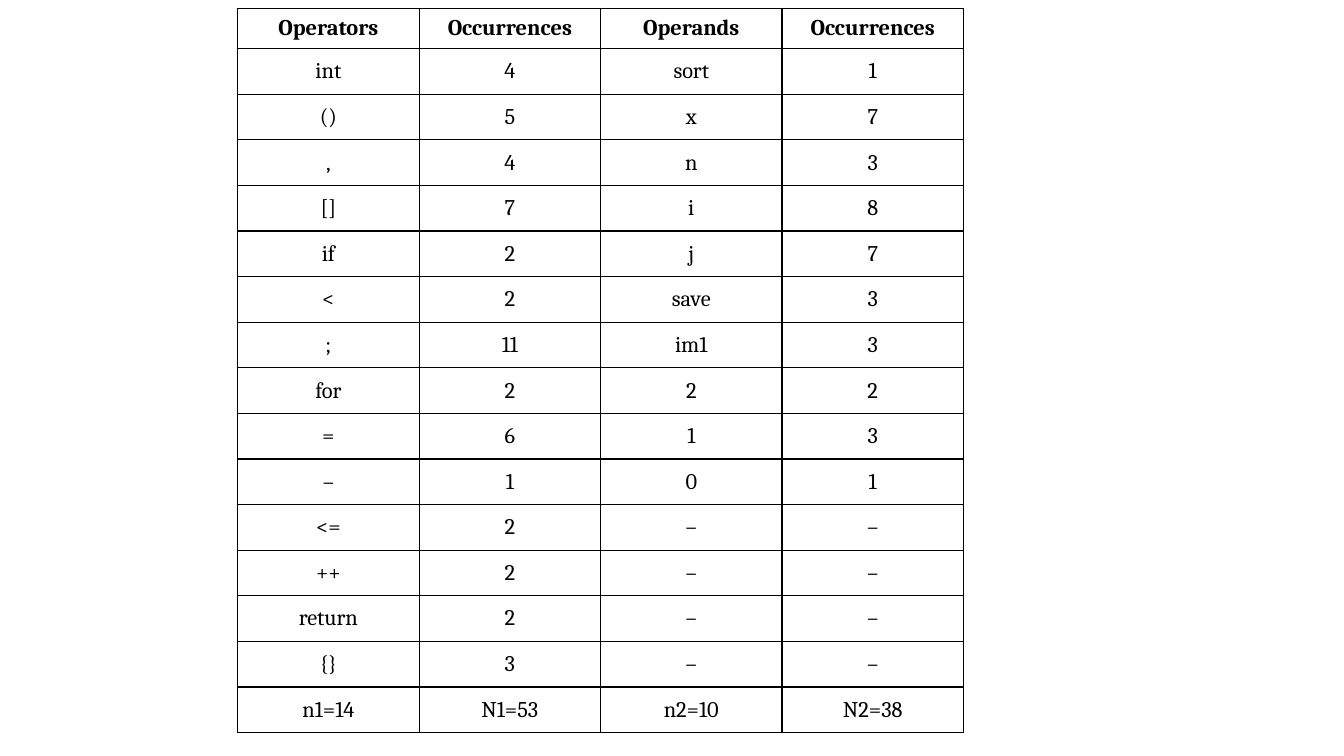
from dataclasses import dataclass

import pptx
import pptx.dml.color
import pptx.enum.text
import pptx.oxml
import pptx.oxml.ns
import pptx.util
from pptx.util import Pt


@dataclass(frozen=True)
class Theme:
    """Colours, font and type size of the slide."""
    ink: str = "000000"
    font: str = "Cambria"
    size: float = 16
    border: float = 1


THEME = Theme()
HEADINGS = ("Operators", "Occurrences", "Operands", "Occurrences")
COUNTS = (
    ("int", "4", "sort", "1"),
    ("()", "5", "x", "7"),
    (",", "4", "n", "3"),
    ("[]", "7", "i", "8"),
    ("if", "2", "j", "7"),
    ("<", "2", "save", "3"),
    (";", "11", "im1", "3"),
    ("for", "2", "2", "2"),
    ("=", "6", "1", "3"),
    ("–", "1", "0", "1"),
    ("<=", "2", "–", "–"),
    ("++", "2", "–", "–"),
    ("return", "2", "–", "–"),
    ("{}", "3", "–", "–"),
)
TOTALS = ("n1=14", "N1=53", "n2=10", "N2=38")


def write_text(frame, text, *, bold=False, size=THEME.size, color=THEME.ink,
               align=pptx.enum.text.PP_ALIGN.CENTER):
    """Write one formatted paragraph into a text frame."""
    paragraph = frame.paragraphs[0]
    paragraph.alignment = align
    run = paragraph.add_run()
    run.text = text
    run.font.name = THEME.font
    run.font.size = Pt(size)
    run.font.bold = bold
    run.font.color.rgb = pptx.dml.color.RGBColor.from_string(color)


def outline_cell(cell):
    """Draw a solid border on all four sides of a cell."""
    properties = cell._tc.get_or_add_tcPr()
    for position, side in enumerate(("lnL", "lnR", "lnT", "lnB")):
        border = pptx.oxml.parse_xml(
            f'<a:{side} {pptx.oxml.ns.nsdecls("a")} w="{Pt(THEME.border)}">'
            f'<a:solidFill><a:srgbClr val="{THEME.ink}"/></a:solidFill>'
            f'<a:prstDash val="solid"/></a:{side}>')
        properties.insert(position, border)


def operator_table(slide, left, top, width, height, header_height=28.6):
    """Place the table of operator and operand counts in the given box."""
    entries = (HEADINGS, *COUNTS, TOTALS)
    table = slide.shapes.add_table(
        len(entries), len(HEADINGS), Pt(left), Pt(top), Pt(width), Pt(height)).table
    table.horz_banding = False
    for column in table.columns:
        column.width = Pt(width / len(HEADINGS))
    for index, entry in enumerate(entries):
        heading = index == 0
        table.rows[index].height = Pt(
            header_height if heading else (height - header_height) / (len(entries) - 1))
        for cell, text in zip(table.rows[index].cells, entry):
            cell.fill.background()
            cell.vertical_anchor = pptx.enum.text.MSO_ANCHOR.MIDDLE
            cell.margin_left = cell.margin_right = Pt(5)
            cell.margin_top = cell.margin_bottom = Pt(5 if heading else 7)
            outline_cell(cell)
            write_text(cell.text_frame, text, bold=heading)
    first_heading = table.cell(0, 0)
    first_heading.margin_left = first_heading.margin_right = Pt(1.5)


def main():
    """Build and save the presentation."""
    presentation = pptx.Presentation()
    presentation.slide_width = Pt(960)
    presentation.slide_height = Pt(540)
    slide = presentation.slides.add_slide(presentation.slide_layouts[6])
    operator_table(slide, left=169.8, top=6.2, width=518.4, height=517.3)
    presentation.save("out.pptx")


if __name__ == "__main__":
    main()
